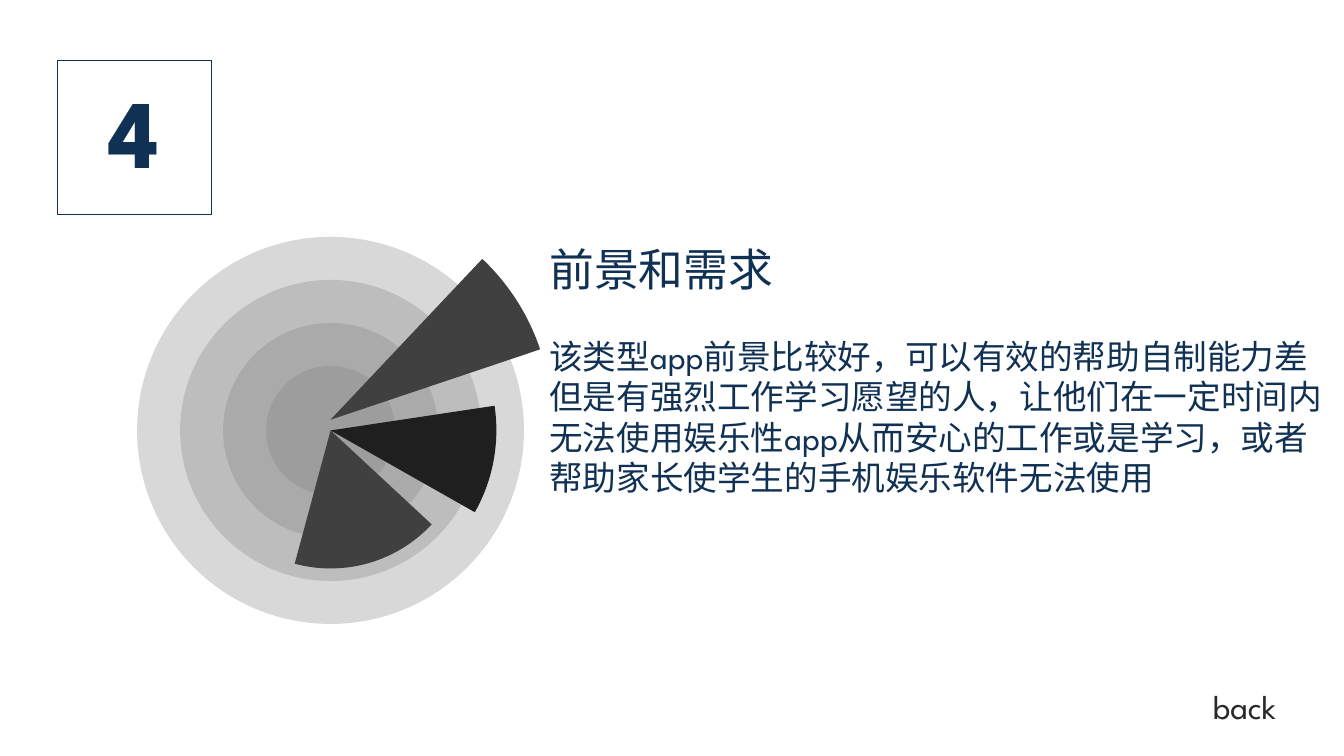
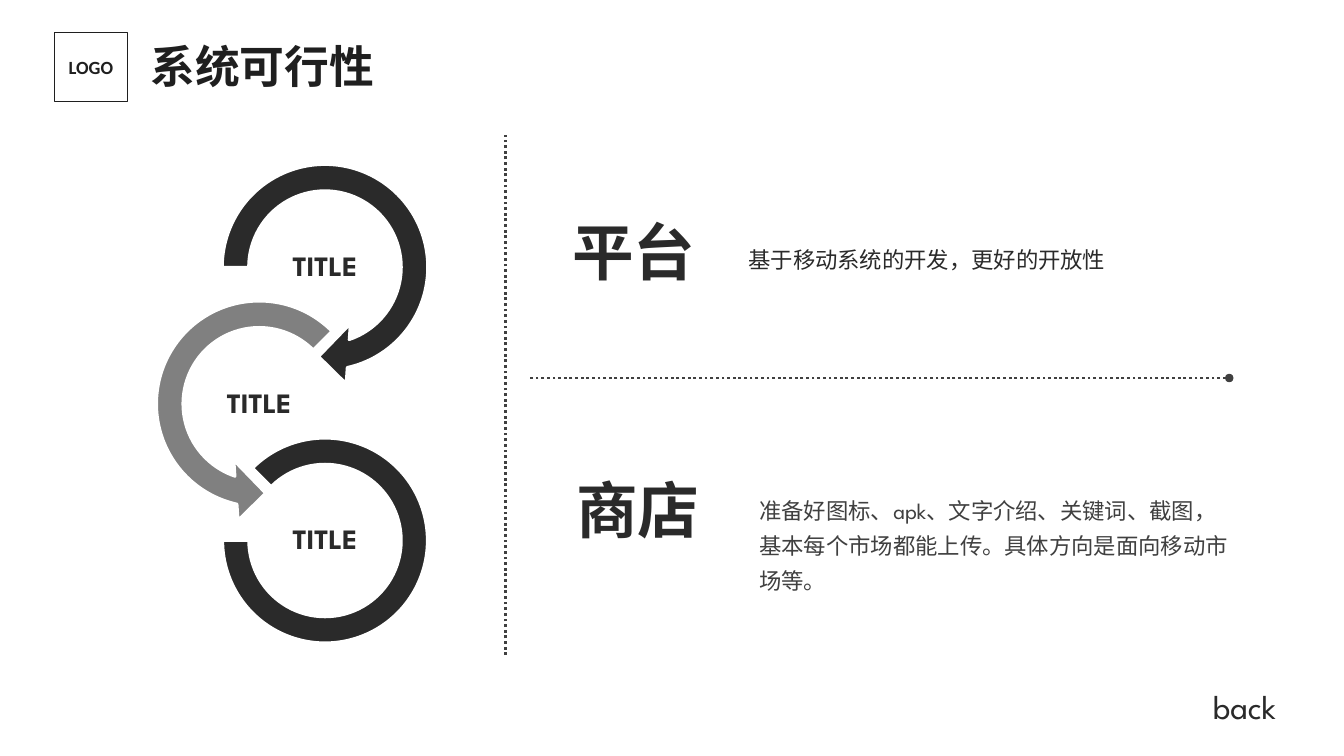
from dataclasses import dataclass
from typing import NamedTuple

from lxml.etree import SubElement
from pptx import Presentation
from pptx.dml.color import RGBColor
from pptx.enum.dml import MSO_LINE
from pptx.enum.shapes import MSO_CONNECTOR, MSO_SHAPE
from pptx.enum.text import MSO_ANCHOR, PP_ALIGN
from pptx.oxml.ns import qn
from pptx.util import Pt


@dataclass(frozen=True)
class Theme:
    navy: str = "103154"
    black: str = "1F1F1F"
    ink: str = "2A2A2A"
    charcoal: str = "404040"
    grey: str = "808080"
    white: str = "FFFFFF"
    body_font: str = "League Spartan"
    label_font: str = "Calibri"
    title_font: str = "Noto Sans CJK SC"
    number_size: float = 69.3
    topic_size: float = 44
    title_size: float = 32
    text_size: float = 24
    ring_size: float = 20
    note_size: float = 16
    logo_size: float = 13.3


THEME = Theme()


class Box(NamedTuple):
    left: float
    top: float
    width: float
    height: float

    def inside(self, left, top, width, height):
        """Box of the given size, offset from this box's top left corner."""
        return Box(self.left + left, self.top + top, width, height)

    def lengths(self):
        return [Pt(value) for value in self]


def square_around(x, y, size):
    return Box(x - size / 2, y - size / 2, size, size)


def set_format(target, values):
    for name, value in values.items():
        setattr(target, name, value)


def set_fill(fill, color):
    if color is None:
        fill.background()
    else:
        fill.solid()
        fill.fore_color.rgb = RGBColor.from_string(color)


def add_para(frame, text, size, color, font=THEME.body_font, bold=False, first=True, **layout):
    para = frame.paragraphs[0] if first else frame.add_paragraph()
    set_format(para, {"alignment": PP_ALIGN.LEFT, **layout})
    span = para.add_run()
    span.text = text
    set_format(span.font, {"size": Pt(size), "name": font, "bold": bold})
    span.font.color.rgb = RGBColor.from_string(color)
    SubElement(span.font._element, qn("a:ea"), typeface=font)


def prepare_frame(frame, anchor=MSO_ANCHOR.TOP, inset=(7.2, 3.6)):
    across, down = (Pt(value) for value in inset)
    set_format(frame, {
        "word_wrap": True, "vertical_anchor": anchor,
        "margin_left": across, "margin_right": across,
        "margin_top": down, "margin_bottom": down,
    })
    return frame


def add_text(page, box, text, size, color, anchor=MSO_ANCHOR.TOP, inset=(7.2, 3.6), **style):
    frame = prepare_frame(page.shapes.add_textbox(*box.lengths()).text_frame, anchor, inset)
    add_para(frame, text, size, color, **style)
    return frame


def add_figure(page, kind, box, fill=None, line=None, line_width=0.75, adjustments=()):
    shape = page.shapes.add_shape(kind, *box.lengths())
    shape.shadow.inherit = False
    set_fill(shape.fill, fill)
    set_fill(shape.line.fill, line)
    if line:
        shape.line.width = Pt(line_width)
    for index, value in enumerate(adjustments):
        shape.adjustments[index] = value
    return shape


def set_opacity(shape, percent):
    color = shape._element.spPr.find(qn("a:solidFill"))[0]
    SubElement(color, qn("a:alpha"), val=str(percent * 1000))


def add_framed_text(page, box, text, size, color, **style):
    square = add_figure(page, MSO_SHAPE.RECTANGLE, box, line=color)
    frame = prepare_frame(square.text_frame, MSO_ANCHOR.MIDDLE, (0, 0))
    add_para(frame, text, size, color, bold=True, alignment=PP_ALIGN.CENTER, **style)


def add_dotted_line(page, start, end, dot_at_start=False):
    points = [Pt(value) for value in (*start, *end)]
    rule = page.shapes.add_connector(MSO_CONNECTOR.STRAIGHT, *points)
    set_fill(rule.line.fill, THEME.charcoal)
    set_format(rule.line, {"width": Pt(2), "dash_style": MSO_LINE.ROUND_DOT})
    if dot_at_start:
        SubElement(rule.line._ln, qn("a:headEnd"), type="oval")
    SubElement(rule._element.spPr, qn("a:effectLst"))


def add_back_label(page, box):
    add_text(page, box, "back", THEME.text_size, THEME.ink)


def add_target_chart(page, box):
    """Concentric translucent discs under three dark wedges."""
    center_x = box.left + box.width / 2
    center_y = box.top + box.height / 2
    for ninths in (9, 7, 5, 3):
        disc_box = square_around(center_x, center_y, box.width * ninths / 9)
        set_opacity(add_figure(page, MSO_SHAPE.OVAL, disc_box, THEME.grey), 30)
    wedges = [
        (316, -7.6, THEME.charcoal, 313.35, 341.45),
        (237, 0, THEME.black, 351.45, 29.55),
        (197.2, 0, THEME.charcoal, 42.89, 105.07),
    ]
    for size, shift, color, *angles in wedges:
        wedge_box = square_around(center_x, center_y + shift, size)
        add_figure(page, MSO_SHAPE.PIE, wedge_box, color,
                   adjustments=[angle * 0.6 for angle in angles])


def add_prospect(page, box):
    frame = add_text(page, box, "前景和需求", THEME.title_size, THEME.navy)
    add_para(frame, "该类型app前景比较好，可以有效的帮助自制能力差但是有强烈工作学习愿望的人，"
             "让他们在一定时间内无法使用娱乐性app从而安心的工作或是学习，"
             "或者帮助家长使学生的手机娱乐软件无法使用",
             THEME.text_size, THEME.navy, first=False, space_before=Pt(28.8))


def add_header(page, box):
    add_text(page, box.inside(59, -3, 227, 50), "系统可行性", THEME.title_size, THEME.black,
             MSO_ANCHOR.MIDDLE, (9.4, 5), font=THEME.title_font, bold=True, line_spacing=1.1)
    add_framed_text(page, box.inside(0, 0, 52, 49.5), "LOGO", THEME.logo_size, THEME.black,
                    font=THEME.label_font)


def add_ring_chain(page, box):
    """Three linked rings in a zigzag, each with a centred label."""
    rings = [
        (MSO_SHAPE.CIRCULAR_ARROW, 170.6, THEME.ink, (0.11, 11.42, 45, 108, 0.125)),
        (MSO_SHAPE.LEFT_CIRCULAR_ARROW, 170.6, THEME.grey, (0.11, 11.42, 63, 189, 0.125)),
        (MSO_SHAPE.BLOCK_ARC, 146.2, THEME.ink, (135, 108, 0.127)),
    ]
    for index, (kind, size, color, adjustments) in enumerate(rings):
        center_x = box.left + (85.3 if index % 2 else 132.3)
        center_y = box.top + 85.3 + 97.6 * index
        add_figure(page, kind, square_around(center_x, center_y, size), color,
                   THEME.white, 2, adjustments)
        label = Box(center_x - 47, center_y - 23.5, 94, 47.5)
        add_text(page, label, "TITLE", THEME.ring_size, THEME.ink, MSO_ANCHOR.MIDDLE,
                 (0.7, 0.7), bold=True, alignment=PP_ALIGN.CENTER, line_spacing=0.9)


def add_dividers(page, box):
    middle = box.top + 173.5
    add_dotted_line(page, (box.left + box.width, middle), (box.left + 16, middle), True)
    add_dotted_line(page, (box.left, box.top + box.height), (box.left, box.top))


def add_topic(page, box, topic, note, note_offset, note_color):
    add_text(page, box.inside(0, 0, 112, 60.5), topic, THEME.topic_size, THEME.ink,
             font=THEME.label_font, bold=True)
    add_text(page, box.inside(*note_offset, 350.6, box.height), note, THEME.note_size,
             note_color, line_spacing=1.3)


def build_prospect_page(page, box):
    add_prospect(page, box.inside(385.5, 169.2, 578, 220.3))
    add_framed_text(page, box.inside(40.8, 43, 110.2, 110.2), "4", THEME.number_size,
                    THEME.navy, line_spacing=0.9)
    add_target_chart(page, box.inside(98, 169.2, 276.5, 276.5))


def build_feasibility_page(page, box):
    add_header(page, box.inside(39, 23, 286, 50))
    add_ring_chain(page, box.inside(100, 105.6, 217.6, 353))
    add_dividers(page, box.inside(361.5, 96.5, 517, 371.5))
    add_topic(page, box.inside(401.8, 149, 477, 30), "平台",
              "基于移动系统的开发，更好的开放性", (126, 17.3), THEME.ink)
    add_topic(page, box.inside(404.6, 333.4, 481.7, 82.8), "商店",
              "准备好图标、apk、文字介绍、关键词、截图，基本每个市场都能上传。"
              "具体方向是面向移动市场等。", (131, 12.6), THEME.charcoal)


def main():
    deck = Presentation()
    page_box = Box(0, 0, 960.5, 540)
    set_format(deck, {"slide_width": Pt(page_box.width), "slide_height": Pt(page_box.height)})
    for build in (build_prospect_page, build_feasibility_page):
        page = deck.slides.add_slide(deck.slide_layouts[6])
        build(page, page_box)
        add_back_label(page, page_box.inside(859.7, 486.7, 100.8, 36))
    deck.save("out.pptx")


if __name__ == "__main__":
    main()
